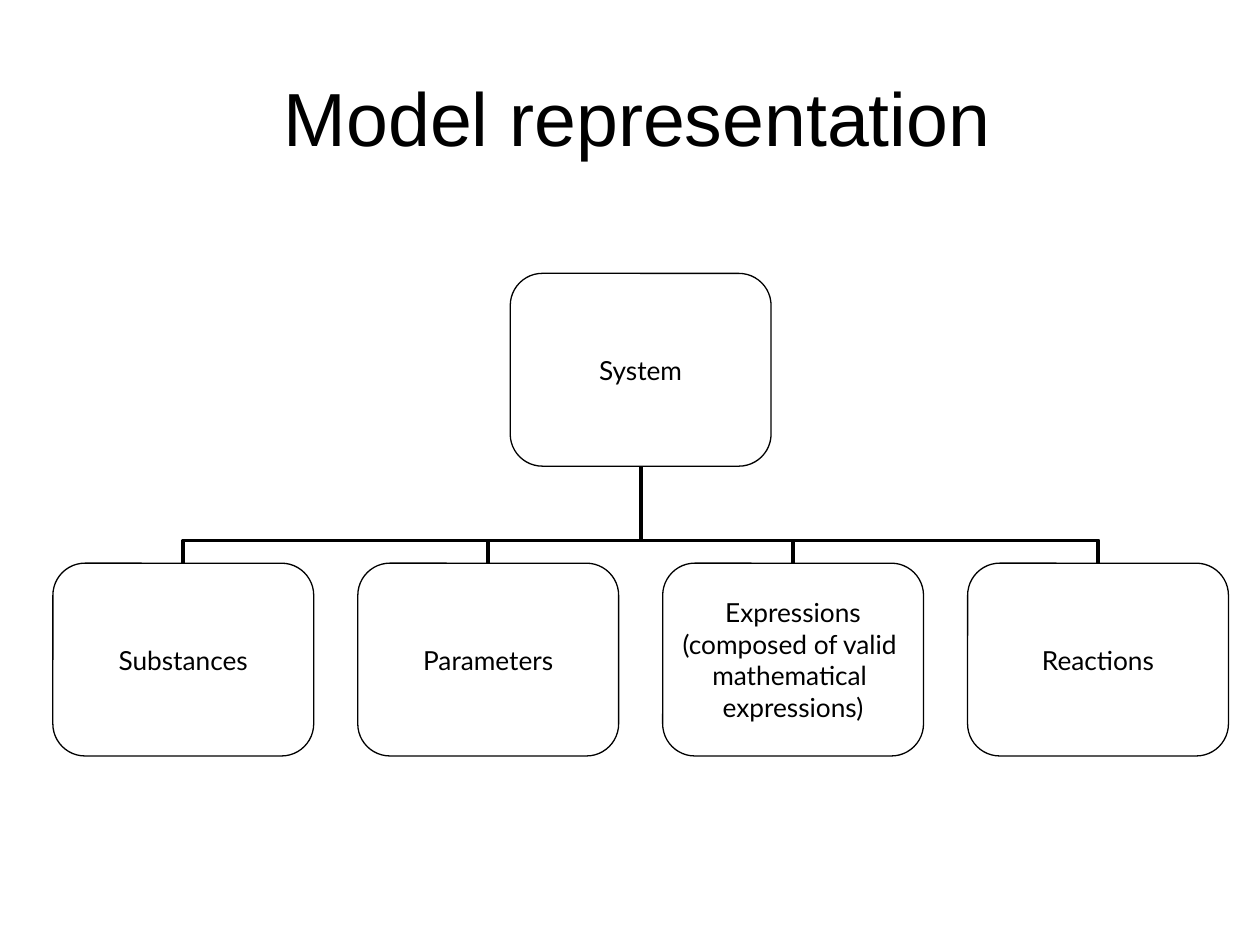
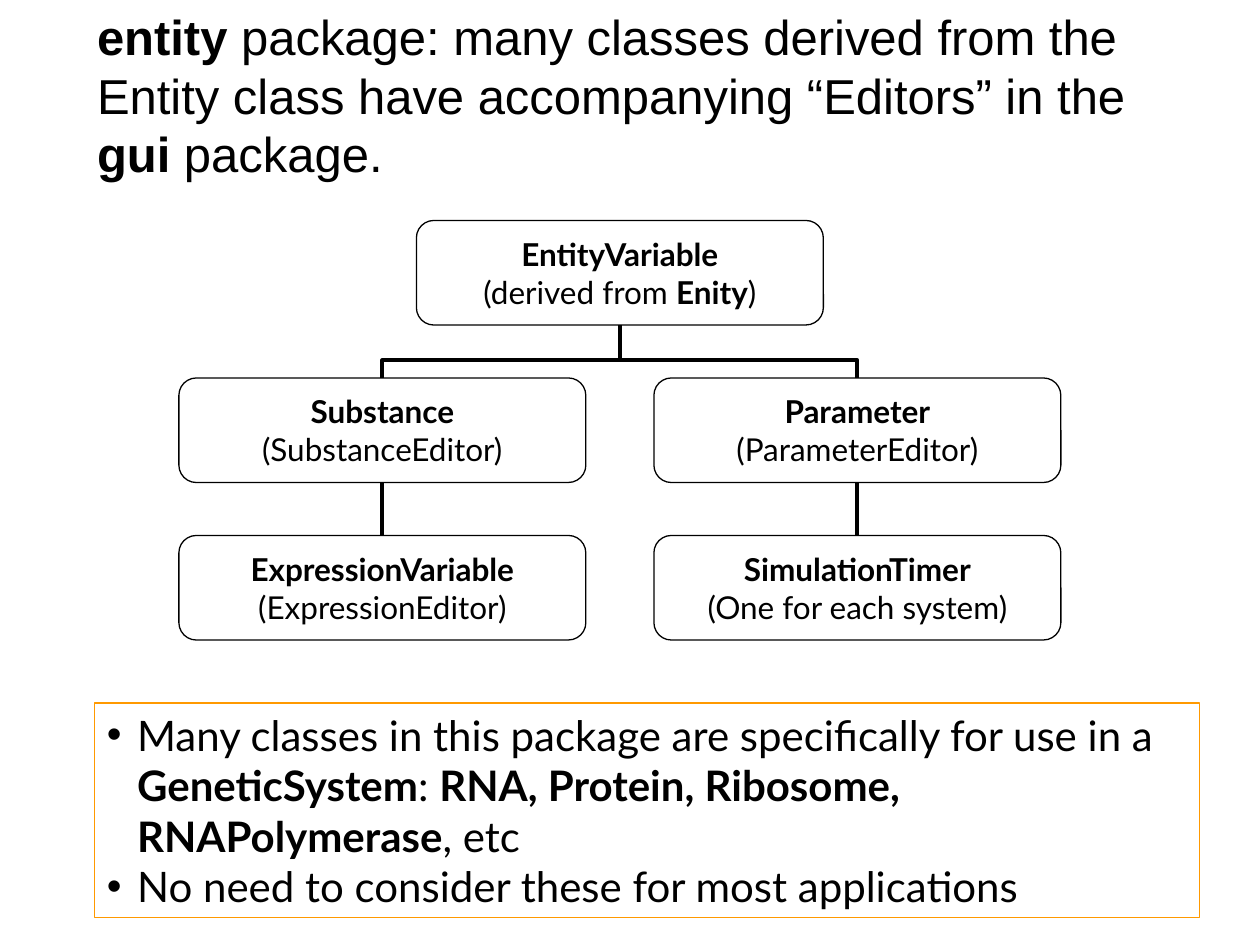
import pptx
import pptx.util
import pptx.dml.color
import pptx.enum.shapes
import pptx.enum.text
from dataclasses import dataclass
from lxml import etree
from pptx.oxml.ns import qn

COLORS = {"ink": "000000", "accent": "FF9900"}
TITLE_FONT, BODY_FONT = "Arial", "Lato"
ALIGN = pptx.enum.text.PP_ALIGN
ANCHOR = pptx.enum.text.MSO_ANCHOR
AUTO_SIZE = pptx.enum.text.MSO_AUTO_SIZE
SHAPE = pptx.enum.shapes.MSO_SHAPE
CONNECTOR = pptx.enum.shapes.MSO_CONNECTOR
Inches = pptx.util.Inches
TOP, BOTTOM = 0, 2


@dataclass
class Tree:
    """Grid of class boxes; lengths in inches, columns may be fractional."""
    left: float
    top: float
    column_pitch: float
    row_pitch: float
    width: float
    height: float
    font_size: int
    bus_gap: float  # from the horizontal branch line down to the children


def color(name):
    return pptx.dml.color.RGBColor.from_string(COLORS[name])


def fill_paragraph(paragraph, runs, font, size, align):
    """Each run is plain text, or a one-item tuple for bold text."""
    paragraph.alignment = align
    for part in runs:
        bold = isinstance(part, tuple)
        run = paragraph.add_run()
        run.text = part[0] if bold else part
        run.font.name = font
        run.font.size = pptx.util.Pt(size)
        run.font.bold = bold
        run.font.color.rgb = color("ink")


def fill_paragraphs(frame, paragraphs, size, align):
    for index, runs in enumerate(paragraphs):
        paragraph = frame.add_paragraph() if index else frame.paragraphs[0]
        fill_paragraph(paragraph, runs, BODY_FONT, size, align)


def add_titled_slide(deck, runs, size, align, area):
    slide = deck.slides.add_slide(deck.slide_layouts[5])
    title = slide.shapes.title
    title.left, title.top, title.width, title.height = map(Inches, area)
    frame = title.text_frame
    frame.auto_size = AUTO_SIZE.NONE
    frame.vertical_anchor = ANCHOR.MIDDLE
    fill_paragraph(frame.paragraphs[0], runs, TITLE_FONT, size, align)
    return slide


def add_outlined_shape(slide, kind, area, line_color):
    outlined = slide.shapes.add_shape(kind, *map(Inches, area))
    outlined.shadow.inherit = False
    outlined.fill.background()
    outlined.line.color.rgb = color(line_color)
    outlined.line.width = pptx.util.Pt(0.75)
    return outlined


def add_node(slide, tree, column, row, paragraphs):
    area = (tree.left + column * tree.column_pitch,
            tree.top + row * tree.row_pitch, tree.width, tree.height)
    node = add_outlined_shape(slide, SHAPE.ROUNDED_RECTANGLE, area, "ink")
    frame = node.text_frame
    frame.margin_left = frame.margin_right = 0
    frame.margin_top = frame.margin_bottom = 0
    frame.word_wrap = False
    frame.vertical_anchor = ANCHOR.MIDDLE
    fill_paragraphs(frame, paragraphs, tree.font_size, ALIGN.CENTER)
    return node


def add_link(slide, kind):
    link = slide.shapes.add_connector(kind, 0, 0, 0, 0)
    link.line.color.rgb = color("ink")
    link.line.width = pptx.util.Pt(2.25)
    etree.SubElement(link._element.spPr, qn("a:effectLst"))
    return link


def link_below(slide, parent, child):
    link = add_link(slide, CONNECTOR.STRAIGHT)
    link.begin_connect(child, TOP)
    link.end_connect(parent, BOTTOM)


def branch(slide, tree, parent, children):
    """Elbows from the top of each child to the bottom of the parent."""
    for child in children:
        child_x = child.left + child.width // 2
        parent_x = parent.left + parent.width // 2
        parent_bottom = parent.top + parent.height
        rise, run = child.top - parent_bottom, abs(child_x - parent_x)
        link = add_link(slide, CONNECTOR.ELBOW)
        # The elbow lies on its side, so rise and run swap before rotation.
        link.left = (child_x + parent_x - rise) // 2
        link.top = (child.top + parent_bottom - run) // 2
        link.width, link.height = rise, run
        on_left = child_x < parent_x
        transform = link._element.spPr.xfrm
        transform.rot = 90 if on_left else 270
        transform.flipH = on_left
        transform.flipV = True
        adjustments = link._element.spPr.find(qn("a:prstGeom")).find(qn("a:avLst"))
        bend = round(Inches(tree.bus_gap) / rise * 100000)
        etree.SubElement(adjustments, qn("a:gd"), name="adj1", fmla=f"val {bend}")


def add_bullet_box(slide, area, paragraphs):
    box = add_outlined_shape(slide, SHAPE.RECTANGLE, area, "accent")
    frame = box.text_frame
    frame.word_wrap = True
    frame.auto_size = AUTO_SIZE.SHAPE_TO_FIT_TEXT
    frame.vertical_anchor = ANCHOR.TOP
    fill_paragraphs(frame, paragraphs, 24, ALIGN.LEFT)
    indent = Inches(0.24)
    for paragraph in frame.paragraphs:
        properties = paragraph._p.get_or_add_pPr()
        properties.set("marL", str(indent))
        properties.set("indent", str(-indent))
        etree.SubElement(properties, qn("a:buFont"), typeface=TITLE_FONT)
        etree.SubElement(properties, qn("a:buChar"), char="•")


def build_model_slide(deck):
    slide = add_titled_slide(deck, ["Model representation"], 43, ALIGN.CENTER,
                             (0.33, 0.5, 9.45, 0.85))
    tree = Tree(left=0.42, top=2.17, column_pitch=2.42, row_pitch=2.3,
                width=2.07, height=1.53, font_size=15, bus_gap=0.18)
    parts = [
        [["Substances"]],
        [["Parameters"]],
        [["Expressions"], ["(composed of valid "], ["mathematical "], ["expressions)"]],
        [["Reactions"]],
    ]
    system = add_node(slide, tree, (len(parts) - 1) / 2, 0, [["System"]])
    children = [add_node(slide, tree, column, 1, text)
                for column, text in enumerate(parts)]
    branch(slide, tree, system, children)


def build_entity_slide(deck):
    heading = [("entity",), " package: many classes derived from the Entity class "
               "have accompanying “Editors” in the ", ("gui",), " package."]
    slide = add_titled_slide(deck, heading, 28, ALIGN.LEFT, (0.67, 0, 8.5, 1.5))
    tree = Tree(left=1.42, top=1.75, column_pitch=3.77, row_pitch=1.25,
                width=3.23, height=0.83, font_size=18, bus_gap=0.14)
    lineages = [
        [("Substance", "(SubstanceEditor)"), ("ExpressionVariable", "(ExpressionEditor)")],
        [("Parameter", "(ParameterEditor)"), ("SimulationTimer", "(One for each system)")],
    ]
    entity_variable = add_node(slide, tree, 0.5, 0, [
        [("EntityVariable",)], ["(derived from ", ("Enity",), ")"]])
    children = []
    for column, lineage in enumerate(lineages):
        child, grandchild = [
            add_node(slide, tree, column, row, [[(name,)], [remark]])
            for row, (name, remark) in enumerate(lineage, start=1)]
        link_below(slide, child, grandchild)
        children.append(child)
    branch(slide, tree, entity_variable, children)
    add_bullet_box(slide, (0.75, 5.58, 8.77, 1.7), [
        ["Many classes in this package are specifically for use in a ",
         ("GeneticSystem",), ": ", ("RNA, Protein, Ribosome, RNAPolymerase",), ", etc"],
        ["No need to consider these for most applications"],
    ])


def main():
    deck = pptx.Presentation()
    deck.slide_width, deck.slide_height = Inches(10), Inches(7.5)
    build_model_slide(deck)
    build_entity_slide(deck)
    deck.save("out.pptx")


if __name__ == "__main__":
    main()
